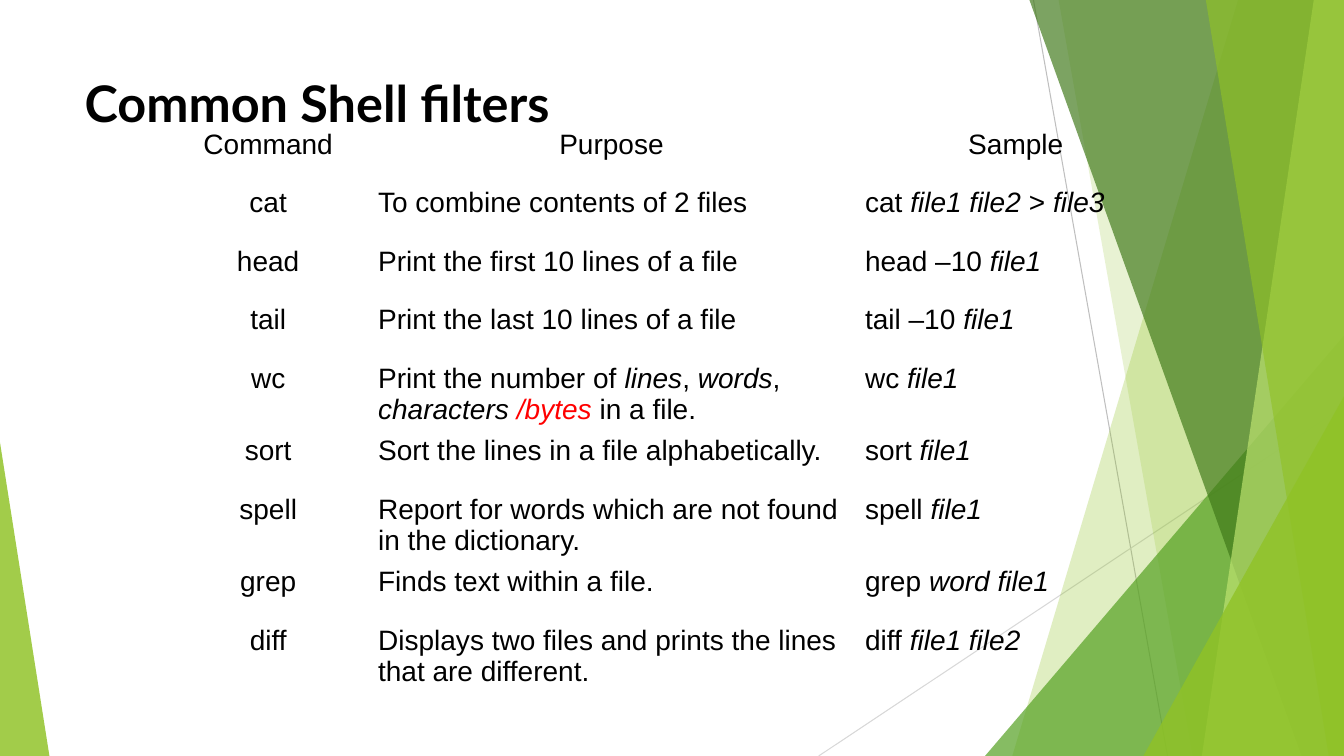
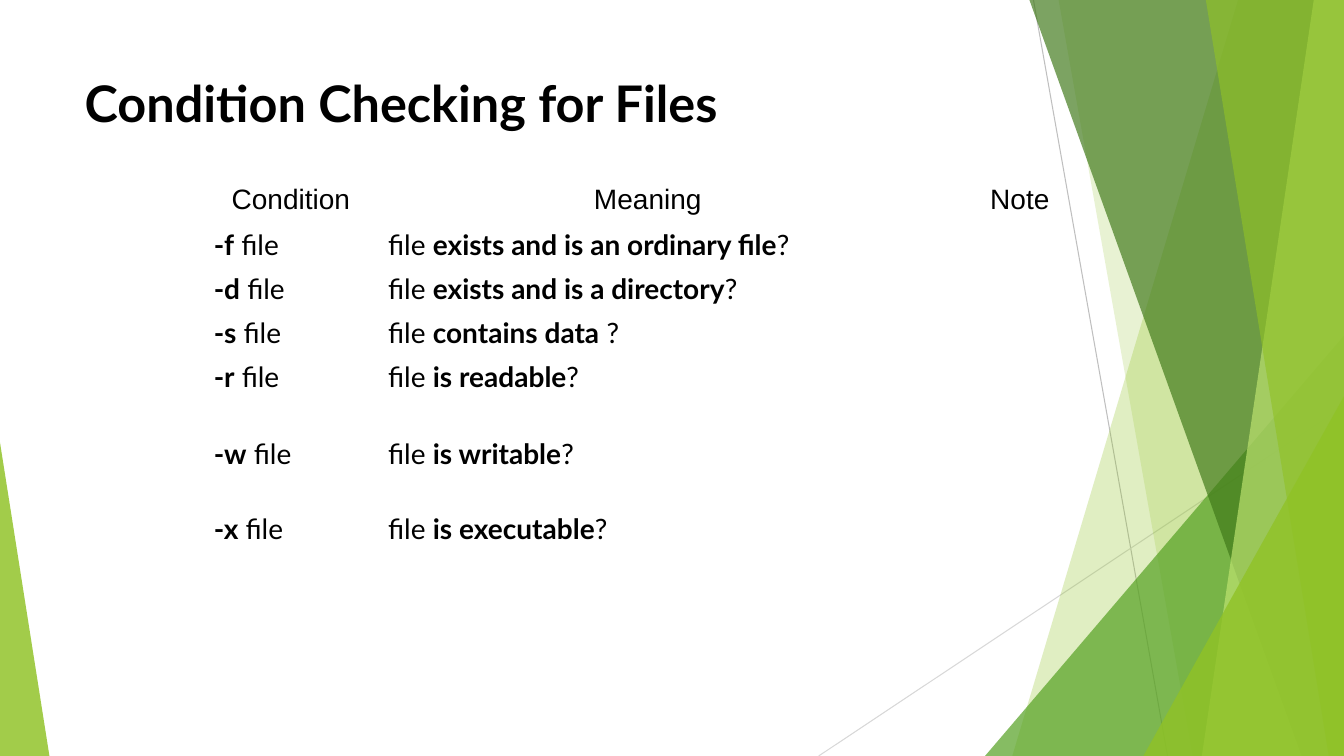
from lxml import etree
from pptx import Presentation
from pptx.dml.color import RGBColor
from pptx.enum.shapes import MSO_CONNECTOR, MSO_SHAPE
from pptx.enum.text import MSO_ANCHOR, PP_ALIGN
from pptx.oxml.ns import qn
from pptx.util import Inches, Pt

# Content: a cell is a string or a list of (text, style) runs; i italic, b bold, r red
FILTERS = [
    ("Command", "Purpose", "Sample"),
    ("cat", "To combine contents of 2 files",
     [("cat ", ""), ("file1 file2 ", "i"), (">", ""), (" file3", "i")]),
    ("head", "Print the first 10 lines of a file", [("head –10 ", ""), ("file1", "i")]),
    ("tail", "Print the last 10 lines of a file", [("tail –10 ", ""), ("file1", "i")]),
    ("wc", [("Print the number of ", ""), ("lines", "i"), (", ", ""), ("words", "i"),
            (", ", ""), ("characters ", "i"), ("/bytes ", "ir"), ("in a file.", "")],
     [("wc ", ""), ("file1", "i")]),
    ("sort", "Sort the lines in a file alphabetically.", [("sort ", ""), ("file1", "i")]),
    ("spell", "Report for words which are not found in the dictionary.",
     [("spell ", ""), ("file1", "i")]),
    ("grep", "Finds text within a file.", [("grep ", ""), ("word file1", "i")]),
    ("diff", "Displays two files and prints the lines that are different.",
     [("diff ", ""), ("file1 file2", "i")]),
]
TESTS = [
    ("-f", "exists and is an ordinary file", "?"),
    ("-d", "exists and is a directory", "?"),
    ("-s", "contains data", " ?"),
    ("-r", "is readable", "?"),
    ("-w", "is writable", "?"),
    ("-x", "is executable", "?"),
]
CONDITIONS = [("Condition", "Meaning", "Note")] + [
    ([(flag, "b"), (" file", "")], [("file ", ""), (meaning, "b"), (end, "")], "")
    for flag, meaning, end in TESTS
]
SLIDES = [
    dict(title="Common Shell filters", rows=FILTERS, at=(1.67, 1.23),
         widths=[1.98, 4.83, 3.19], heights=[0.58] * 9, font="Arial", centred=[0]),
    dict(title="Condition Checking for Files", rows=CONDITIONS, at=(2.02, 1.78),
         widths=[1.73, 5.35, 2.03], heights=[0.43] * 4 + [0.77, 0.74, 0.43],
         font="Lato", centred=[]),
]

# Shared look
W, H = 13.33, 7.5
COLORS = dict(text="000000", red="FF0000", lime="90C226", green="54A021",
              forest="3F7818", pale="BFE471", line="BFBFBF", faint="D8D8D8")
LINES = [((10.25, 0), (11.58, H), "line"), ((W, 4.03), (8.12, H), "faint")]
# Bands reach the right edge: (top left x, bottom left x, colour, opacity)
# Triangles stand on the bottom edge: (left, top, width, apex, colour, opacity)
FACETS = [
    (12.28, 10.04, "lime", 28),
    (10.5, 11.83, "lime", 20),
    (9.77, 3.33, 3.56, 1, "green", 70),
    (10.21, 12.91, "forest", 68),
    (13.03, 11.92, "pale", 68),
    (11.96, 13.18, "lime", 63),
    (11.34, 3.93, 1.99, 1, "lime", 80),
    (0, 4.39, 0.49, 0, "lime", 83),
]


def rgb(name):
    return RGBColor.from_string(COLORS[name])


def write(p, text, font="Arial", size=20, color="text", bold=False, italic=False):
    r = p.add_run()
    r.text = text
    f = r.font
    f.name, f.size, f.bold, f.italic = font, Pt(size), bold, italic
    f.color.rgb = rgb(color)


def paint(sp, color, opacity):
    sp.shadow.inherit = False
    sp.line.fill.background()
    sp.fill.solid()
    sp.fill.fore_color.rgb = rgb(color)
    clr = sp.fill._xPr.find(qn("a:solidFill"))[0]
    etree.SubElement(clr, qn("a:alpha"), val=str(opacity * 1000))


def draw_backdrop(shapes):
    """Draw lines and facets, returning them from back to front."""
    drawn = []
    for start, end, color in LINES:
        c = shapes.add_connector(MSO_CONNECTOR.STRAIGHT, *map(Inches, start + end))
        c.line.color.rgb = rgb(color)
        c.line.width = Pt(0.75)
        etree.SubElement(c.element.spPr, qn("a:effectLst"))
        drawn.append(c)
    for *place, color, opacity in FACETS:
        if len(place) == 2:
            top_x, bottom_x = place
            fb = shapes.build_freeform(Inches(top_x), 0)
            corners = [(W, 0), (W, H), (bottom_x, H)]
            fb.add_line_segments([(Inches(x), Inches(y)) for x, y in corners])
            sp = fb.convert_to_shape()
        else:
            x, y, width, apex = place
            sp = shapes.add_shape(MSO_SHAPE.ISOSCELES_TRIANGLE,
                                  *map(Inches, (x, y, width, H - y)))
            sp.adjustments[0] = apex
        paint(sp, color, opacity)
        drawn.append(sp)
    return drawn


def prepare_layout(layout):
    """Place the title and drop the footer placeholders."""
    for ph in list(layout.placeholders):
        if ph.placeholder_format.idx:
            ph.element.getparent().remove(ph.element)
            continue
        ph.left, ph.top, ph.width, ph.height = map(Inches, (0.74, 0.67, 9.4, 1.44))
        ph.text_frame.vertical_anchor = MSO_ANCHOR.TOP


def add_table(s, rows, at, widths, heights, font, centred):
    size = sum(widths), sum(heights)
    frame = s.shapes.add_table(len(rows), len(widths), *map(Inches, at + size))
    table = frame.table
    table.first_row = table.horz_banding = False
    # Table style without fills or grid
    style = table._tbl.tblPr.find(qn("a:tableStyleId"))
    style.text = "{2D5ABB26-0587-4C30-8999-92F81FD0307C}"
    for col, width in zip(table.columns, widths):
        col.width = Inches(width)
    for i, (row, height) in enumerate(zip(rows, heights)):
        table.rows[i].height = Inches(height)
        for j, content in enumerate(row):
            cell = table.cell(i, j)
            cell.fill.background()
            p = cell.text_frame.paragraphs[0]
            p.alignment = PP_ALIGN.CENTER if i == 0 or j in centred else PP_ALIGN.LEFT
            if not content:
                continue
            runs = [(content, "")] if isinstance(content, str) else content
            for text, style in runs:
                write(p, text, font=font if i else "Arial", bold="b" in style,
                      italic="i" in style, color="red" if "r" in style else "text")


def main():
    prs = Presentation()
    prs.slide_width, prs.slide_height = Inches(W), Inches(H)
    layout = prs.slide_layouts[5]
    prepare_layout(layout)
    for number, content in enumerate(SLIDES):
        s = prs.slides.add_slide(layout)
        if number == 0:
            # The backdrop moves to the layout, behind its title
            tree = layout.element.cSld.spTree
            for k, sp in enumerate(draw_backdrop(s.shapes)):
                tree.insert(2 + k, sp.element)
        p = s.shapes.title.text_frame.paragraphs[0]
        p.alignment = PP_ALIGN.LEFT
        write(p, content["title"], font="Lato", size=36, bold=True)
        add_table(s, **{k: v for k, v in content.items() if k != "title"})
    prs.save("out.pptx")


if __name__ == "__main__":
    main()
